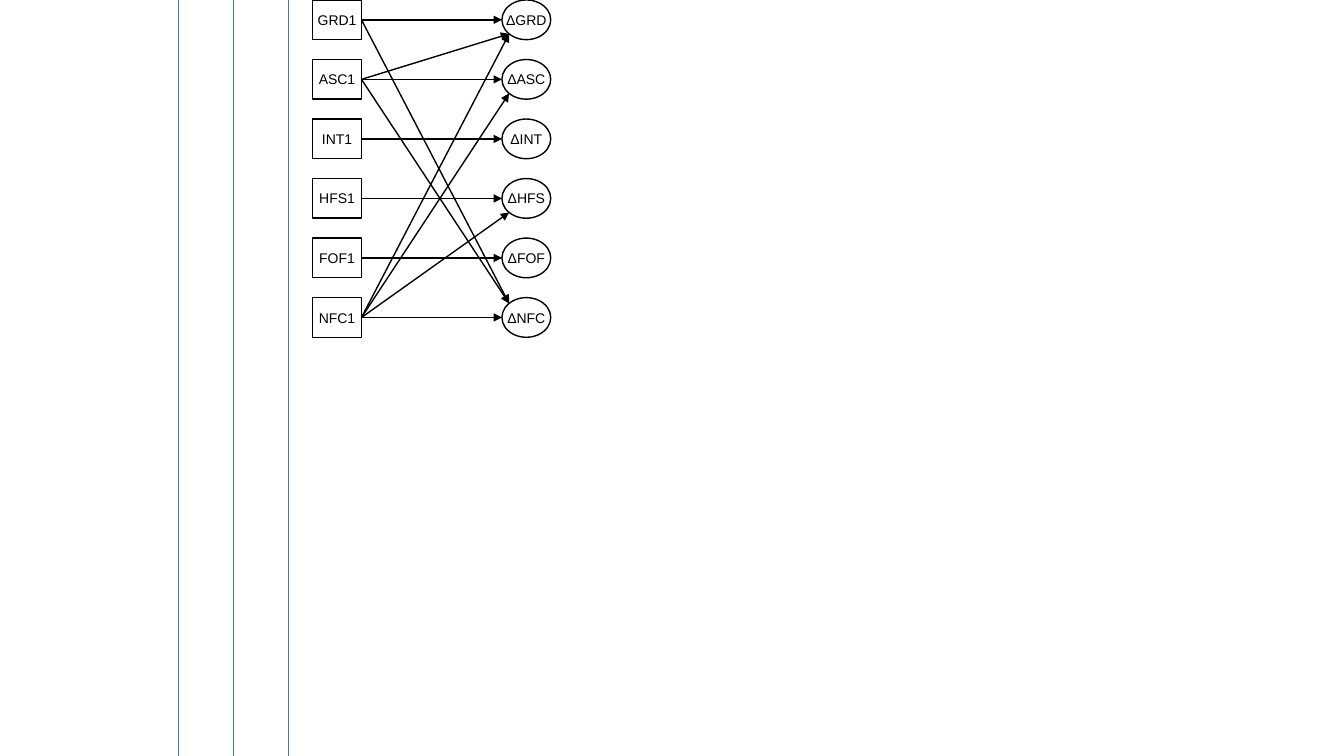
import pptx
import pptx.util
import pptx.dml.color
import pptx.enum.shapes
import pptx.enum.text
import pptx.oxml
import pptx.oxml.ns

Cm, Pt = pptx.util.Cm, pptx.util.Pt
SHAPE = pptx.enum.shapes.MSO_SHAPE
BLACK = pptx.dml.color.RGBColor(0x00, 0x00, 0x00)
BLUE = pptx.dml.color.RGBColor(0x44, 0x72, 0xC4)

SCALES = ["GRD", "ASC", "INT", "HFS", "FOF", "NFC"]
CROSS_EFFECTS = [("NFC", "GRD"), ("ASC", "GRD"), ("NFC", "ASC"),
                 ("NFC", "HFS"), ("GRD", "NFC"), ("ASC", "NFC")]
GUIDES = [5.89, 7.27, 4.5, 5.87]

BASELINE_LEFT, CHANGE_LEFT = 7.88, 12.65
NODE_WIDTH, NODE_HEIGHT, ROW_PITCH = 1.23, 1.0, 1.5
BASELINE_RIGHT = BASELINE_LEFT + NODE_WIDTH
DIAGONAL = 0.5 - 0.5 ** 1.5  # inset of an ellipse's 45-degree point, as a share of its size

presentation = pptx.Presentation()
presentation.slide_width, presentation.slide_height = Cm(33.87), Cm(19.05)
slide = presentation.slides.add_slide(presentation.slide_layouts[6])


def add_node(text, *, shapes, kind, left, top, size=10, font="Arial", color=BLACK):
    node = shapes.add_shape(kind, Cm(left), Cm(top), Cm(NODE_WIDTH), Cm(NODE_HEIGHT))
    node.shadow.inherit = False
    node.fill.background()
    node.line.color.rgb = color
    node.line.width = Pt(1)
    frame = node.text_frame
    frame.word_wrap = False
    frame.vertical_anchor = pptx.enum.text.MSO_ANCHOR.MIDDLE
    frame.margin_left = frame.margin_right = frame.margin_top = frame.margin_bottom = 0
    paragraph = frame.paragraphs[0]
    paragraph.alignment = pptx.enum.text.PP_ALIGN.CENTER
    run = paragraph.add_run()
    run.text = text
    run.font.size, run.font.name, run.font.color.rgb = Pt(size), font, color
    return node


def add_line(shapes, start, end, color=BLACK, width=1, arrow=True):
    line = shapes.add_connector(pptx.enum.shapes.MSO_CONNECTOR.STRAIGHT,
                                Cm(start[0]), Cm(start[1]), Cm(end[0]), Cm(end[1]))
    line.line.color.rgb = color
    line.line.width = Pt(width)
    if arrow:
        pptx.oxml.ns.qn("a:tailEnd")
        outline = line.line._get_or_add_ln()
        outline.append(pptx.oxml.parse_xml(
            f'<a:tailEnd {pptx.oxml.ns.nsdecls("a")} type="triangle"/>'))
    line._element.spPr.append(pptx.oxml.parse_xml(
        f'<a:effectLst {pptx.oxml.ns.nsdecls("a")}/>'))
    return line


# Vertical guides
for x in GUIDES:
    add_line(slide.shapes, (x, 0), (x, 19.05), color=BLUE, width=0.5, arrow=False)

# One group per scale: baseline, change and the arrow between them
baselines, changes = {}, {}
for row, scale in enumerate(SCALES):
    top = row * ROW_PITCH
    middle = top + NODE_HEIGHT / 2
    members = slide.shapes.add_group_shape().shapes
    baselines[scale] = add_node(scale + "1", shapes=members, kind=SHAPE.RECTANGLE,
                                left=BASELINE_LEFT, top=top)
    changes[scale] = add_node("Δ" + scale, shapes=members, kind=SHAPE.OVAL,
                              left=CHANGE_LEFT, top=top)
    add_line(members, (BASELINE_RIGHT, middle), (CHANGE_LEFT, middle))

# Cross effects end on the near diagonal point of the ellipse
for source, target in CROSS_EFFECTS:
    source_row, target_row = SCALES.index(source), SCALES.index(target)
    inset = DIAGONAL if target_row > source_row else 1 - DIAGONAL
    add_line(slide.shapes,
             (BASELINE_RIGHT, source_row * ROW_PITCH + NODE_HEIGHT / 2),
             (CHANGE_LEFT + DIAGONAL * NODE_WIDTH,
              target_row * ROW_PITCH + inset * NODE_HEIGHT))

presentation.save("out.pptx")
